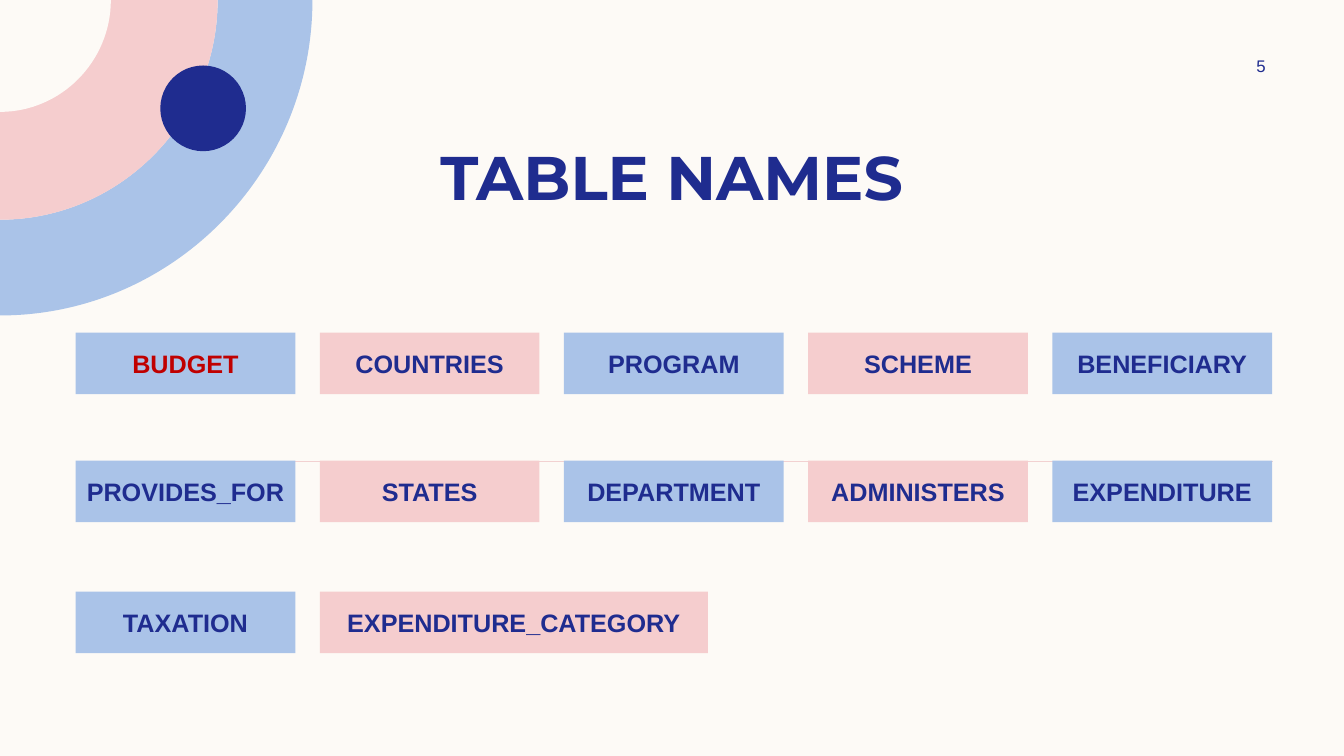
from dataclasses import dataclass

from lxml.etree import SubElement
from pptx import Presentation
from pptx.dml.color import RGBColor as RGB
from pptx.enum.shapes import MSO_CONNECTOR as CONN, MSO_SHAPE as SHAPE
from pptx.enum.text import MSO_ANCHOR as ANCHOR, MSO_AUTO_SIZE as AUTO, PP_ALIGN as ALIGN
from pptx.oxml.ns import qn
from pptx.util import Emu, Pt


@dataclass(frozen=True)
class Theme:
    """Colours, fonts and type sizes of the slide."""
    cream: RGB = RGB.from_string("FDFAF6")
    blue: RGB = RGB.from_string("AAC3E8")
    pink: RGB = RGB.from_string("F5CDCE")
    rule: RGB = RGB.from_string("F2D1D1")
    navy: RGB = RGB.from_string("1F2C8F")
    red: RGB = RGB.from_string("C00000")
    heading: str = "Montserrat"
    body: str = "Arial"
    title_size: int = 44
    label_size: int = 18
    number_size: int = 12


THEME = Theme()
SCALE = 9144
SLIDE_SIZE = Emu(12192000), Emu(6858000)
ARC = 0.55
COLUMNS, FIRST_LEFT, LAST_LEFT = 5, 75, 1044
BOX_WIDTH, WIDE_BOX, BOX_HEIGHT = 218, 385, 61
BOX_PITCH = (LAST_LEFT - FIRST_LEFT) / (COLUMNS - 1)
ROWS = {
    330: ["BUDGET", "COUNTRIES", "PROGRAM", "SCHEME", "BENEFICIARY"],
    457: ["PROVIDES_FOR", "STATES", "DEPARTMENT", "ADMINISTERS", "EXPENDITURE"],
    587: ["TAXATION", "EXPENDITURE_CATEGORY"],
}


def px(n):
    """Turn pixels, a hundred to the inch, into EMU."""
    return Emu(round(n * SCALE))


def paint(sp, color):
    """Give a shape a flat fill without line or shadow."""
    sp.shadow.inherit = False
    sp.fill.solid()
    sp.fill.fore_color.rgb = color
    sp.line.fill.background()


def write(sp, text, size, color=THEME.navy, name=THEME.body, bold=False):
    """Write one centred line of text into a shape."""
    tf = sp.text_frame
    tf.word_wrap = True
    tf.auto_size = AUTO.NONE
    tf.vertical_anchor = ANCHOR.MIDDLE
    p = tf.paragraphs[0]
    p.text = text
    p.alignment = ALIGN.CENTER
    p.font.name, p.font.size, p.font.bold = name, Pt(size), bold
    p.font.color.rgb = color


def bend(segment, *points):
    """Turn a straight outline segment into a Bézier curve."""
    segment.tag = qn("a:cubicBezTo")
    for pt in list(segment):
        segment.remove(pt)
    for x, y in points:
        SubElement(segment, qn("a:pt"), x=str(px(x)), y=str(px(y)))


def add_quarter(s, outer, color, inner=None):
    """Add a quarter disc, or ring, centred on the top left corner."""
    rx, ry = outer
    ix, iy = inner or (0, 0)
    corners = [(0, ry), (0, iy), (ix, 0)] if inner else [(0, ry), (0, 0)]
    fb = s.shapes.build_freeform(px(rx), 0)
    fb.add_line_segments([(px(x), px(y)) for x, y in corners])
    sp = fb.convert_to_shape()
    segments = list(sp._element.iter(qn("a:lnTo")))
    bend(segments[0], (rx, ry * ARC), (rx * ARC, ry), (0, ry))
    if inner:
        bend(segments[2], (ix * ARC, iy), (ix, iy * ARC), (ix, 0))
    paint(sp, color)


def add_dot(s, x, y, size, color):
    """Add a filled circle."""
    paint(s.shapes.add_shape(SHAPE.OVAL, px(x), px(y), px(size), px(size)), color)


def add_rule(s, x1, x2, y):
    """Add a thin horizontal line."""
    line = s.shapes.add_connector(CONN.STRAIGHT, px(x1), px(y), px(x2), px(y))
    line.line.color.rgb = THEME.rule
    line.line.width = Pt(1)
    SubElement(line._element.spPr, qn("a:effectLst"))


def add_title(s, text):
    """Place and fill the title placeholder."""
    sp = s.shapes.title
    sp.left, sp.top, sp.width, sp.height = px(83), px(132), px(1167), px(84)
    write(sp, text, THEME.title_size, name=THEME.heading, bold=True)


def add_page_number(s, text):
    """Add the page number at the top right."""
    sp = s.shapes.add_textbox(px(1197), px(50), px(108), px(30))
    write(sp, text, THEME.number_size)


def add_label_box(s, x, y, width, text, fill, color):
    """Add a filled rectangle holding a table name."""
    sp = s.shapes.add_shape(SHAPE.RECTANGLE, px(x), px(y), px(width), px(BOX_HEIGHT))
    paint(sp, fill)
    tf = sp.text_frame
    tf.margin_left = tf.margin_right = tf.margin_top = tf.margin_bottom = 0
    write(sp, text, THEME.label_size, color, bold=True)


def add_table_names(s):
    """Lay the table names out on a grid with alternating fills."""
    for y, names in ROWS.items():
        for col, name in enumerate(names):
            fill = THEME.pink if col % 2 else THEME.blue
            color = THEME.red if name == "BUDGET" else THEME.navy
            width = WIDE_BOX if name == "EXPENDITURE_CATEGORY" else BOX_WIDTH
            add_label_box(s, FIRST_LEFT + col * BOX_PITCH, y, width, name, fill, color)


def main():
    """Build the slide and save it."""
    prs = Presentation()
    prs.slide_width, prs.slide_height = SLIDE_SIZE
    s = prs.slides.add_slide(prs.slide_layouts[5])
    s.background.fill.solid()
    s.background.fill.fore_color.rgb = THEME.cream
    add_quarter(s, (310, 313), THEME.blue, inner=(216, 218))
    add_quarter(s, (216, 218), THEME.pink)
    add_quarter(s, (110, 111), THEME.cream)
    add_dot(s, 159, 65, 85, THEME.navy)
    add_rule(s, 81, 1263, 458)
    add_title(s, "TABLE NAMES")
    add_page_number(s, "5")
    add_table_names(s)
    prs.save("out.pptx")


if __name__ == "__main__":
    main()
